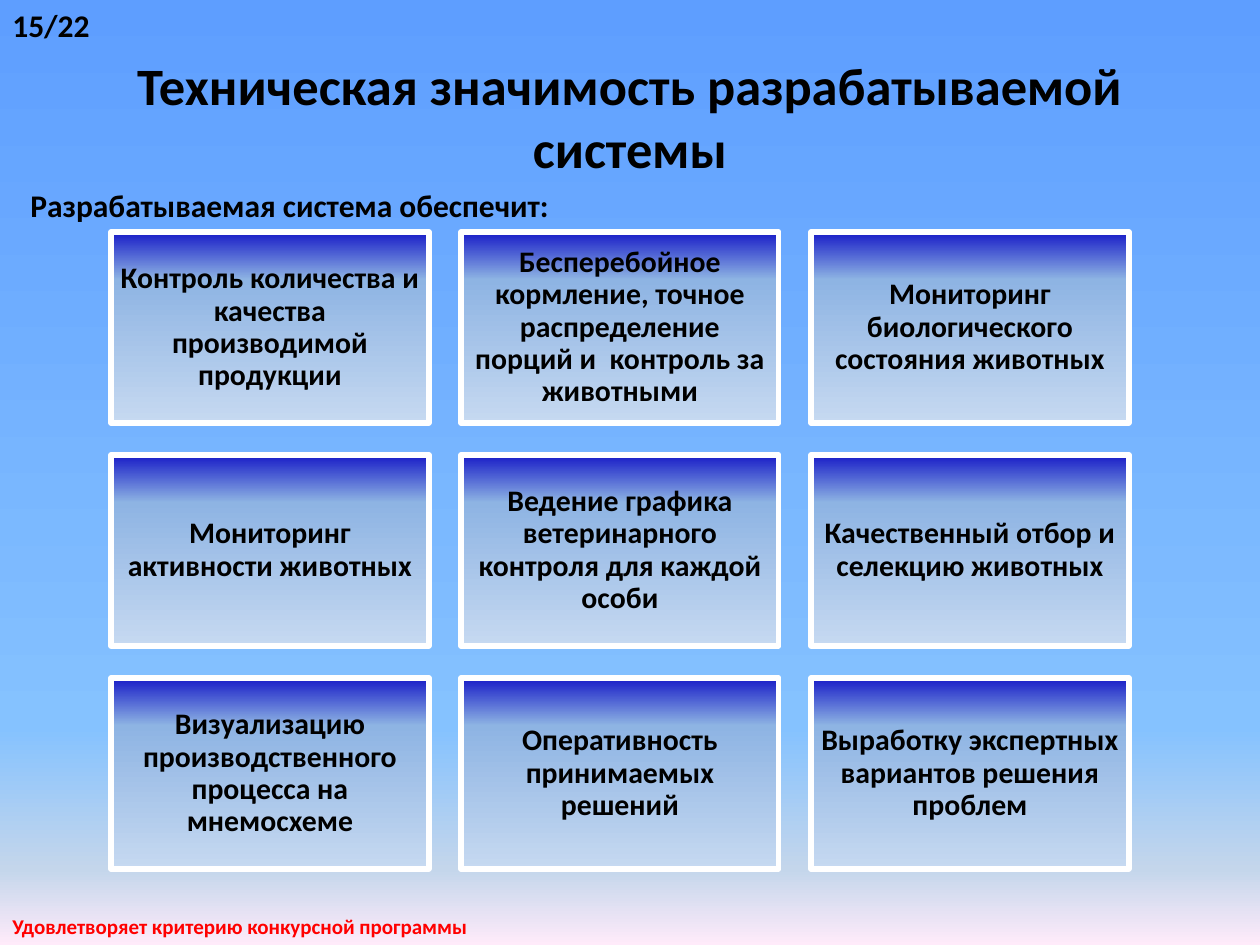
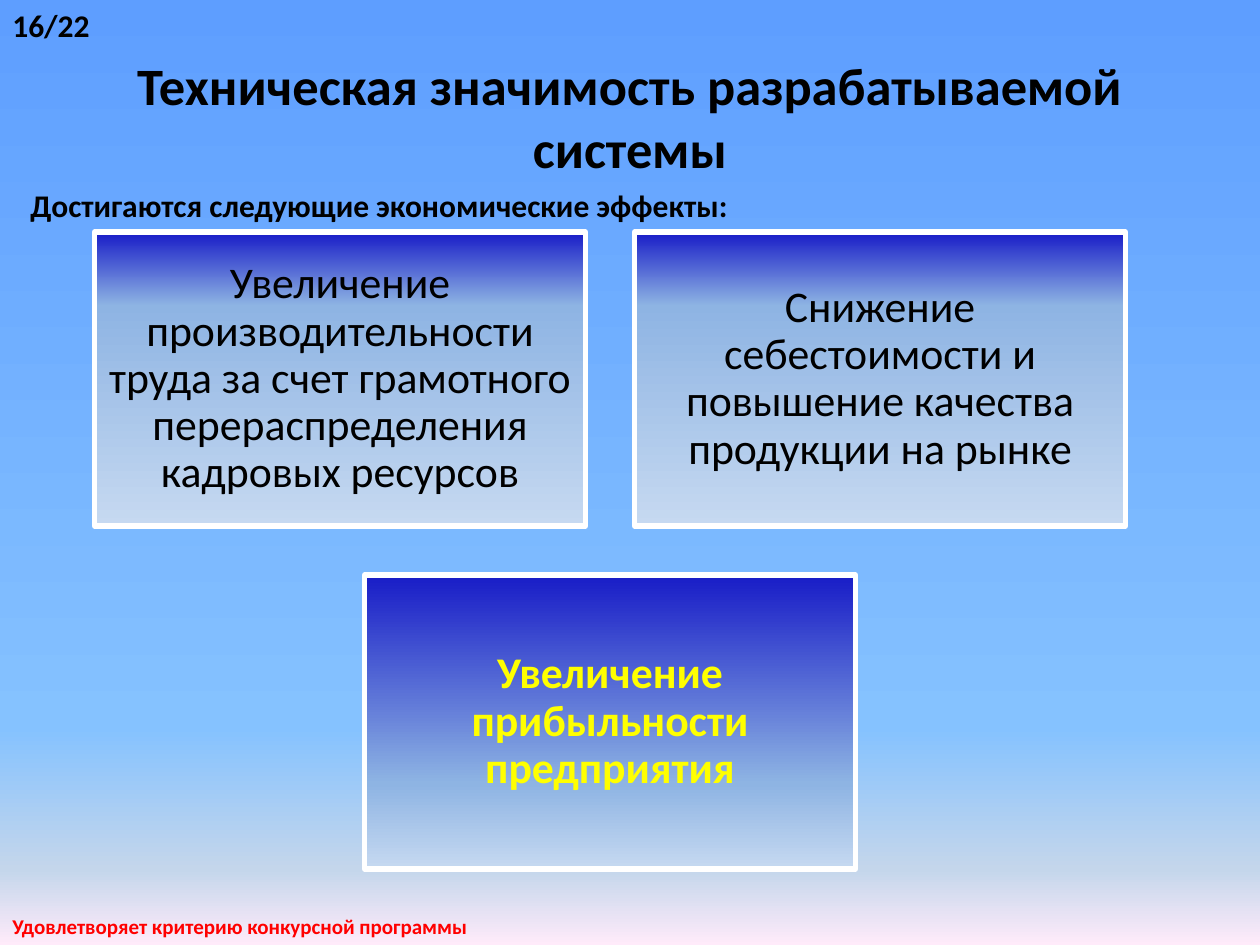
from lxml import etree
from pptx import Presentation, util as u
from pptx.dml.color import RGBColor
from pptx.enum import shapes, text
from pptx.oxml.ns import qn

BLACK = RGBColor(0x00, 0x00, 0x00)
WHITE = RGBColor(0xFF, 0xFF, 0xFF)
RED = RGBColor(0xFF, 0x00, 0x00)
YELLOW = RGBColor(0xFF, 0xFF, 0x00)
DEEP_BLUE = RGBColor(0x18, 0x1C, 0xC7)
MID_BLUE = RGBColor(0x8E, 0xB4, 0xE3)
PALE_BLUE = RGBColor(0xC6, 0xD9, 0xF1)
SKY_TOP = RGBColor(0x5E, 0x9E, 0xFF)
SKY_MID = RGBColor(0x85, 0xC2, 0xFF)
SKY_LOW = RGBColor(0xC4, 0xD6, 0xEB)
SKY_BOTTOM = RGBColor(0xFF, 0xEB, 0xFA)

SKY = [(0, SKY_TOP), (77, SKY_MID), (92, SKY_LOW), (100, SKY_BOTTOM)]
PLAIN_FADE = [(0, PALE_BLUE), (75, MID_BLUE), (100, DEEP_BLUE)]
STRONG_FADE = [(0, PALE_BLUE), (29, MID_BLUE), (100, DEEP_BLUE)]

FONT = "Calibri"
TITLE = "Техническая значимость разрабатываемой системы"
FOOTER = "Удовлетворяет критерию конкурсной программы"
SLIDE_TOTAL = 22

EFFECT = {"size": 25, "bold": False, "color": BLACK, "fade": PLAIN_FADE}
RESULT = {"size": 25, "bold": True, "color": YELLOW, "fade": STRONG_FADE}
BENEFIT = {"size": 17, "bold": True, "color": BLACK, "fade": PLAIN_FADE}

SLIDES = [
    {
        "number": 15,
        "lead": "Разрабатываемая система обеспечит:",
        "lead_width": 751,
        "grid": {"center": 620, "width": 318, "height": 191, "gap": 32, "inset": 8},
        "rows": [
            (BENEFIT, [
                "Контроль количества и качества производимой продукции",
                "Бесперебойное кормление, точное распределение порций и  контроль за животными",
                "Мониторинг биологического состояния животных",
            ]),
            (BENEFIT, [
                "Мониторинг активности животных",
                "Ведение графика ветеринарного контроля для каждой особи",
                "Качественный отбор и селекцию животных",
            ]),
            (BENEFIT, [
                "Визуализацию производственного процесса на мнемосхеме",
                "Оперативность принимаемых решений",
                "Выработку экспертных вариантов решения проблем",
            ]),
        ],
    },
    {
        "number": 16,
        "lead": "Достигаются следующие экономические эффекты:",
        "lead_width": 1157,
        "grid": {"center": 610, "width": 491, "height": 294, "gap": 49, "inset": 12},
        "rows": [
            (EFFECT, [
                "Увеличение производительности труда за счет грамотного "
                "перераспределения кадровых ресурсов",
                "Снижение себестоимости и повышение качества продукции на рынке",
            ]),
            (RESULT, ["Увеличение прибыльности предприятия"]),
        ],
    },
]

SLIDE_WIDTH, SLIDE_HEIGHT = 1260, 945
GRID_TOP = 232
LEAD_INDENT = 19


def px(count):
    return u.Emu(round(count * 914400 / 126))


def set_all(target, values):
    for name, value in values.items():
        setattr(target, name, value)


def place(*lengths):
    return [px(length) for length in lengths]


def fade(fill, owner, stops, angle):
    """Fill with any number of stops; the angle runs counter-clockwise."""
    fill.gradient()
    fill.gradient_angle = angle
    stop_list = owner.find(".//" + qn("a:gsLst"))
    for old_stop in list(stop_list):
        stop_list.remove(old_stop)
    for percent, color in stops:
        stop = etree.SubElement(stop_list, qn("a:gs"), pos=str(percent * 1000))
        etree.SubElement(stop, qn("a:srgbClr"), val=str(color))


def write(frame, words, size, color=BLACK, bold=True, align=text.PP_ALIGN.LEFT):
    para = frame.paragraphs[0]
    para.alignment = align
    span = para.add_run()
    span.text = words
    set_all(span.font, {"name": FONT, "size": u.Pt(size), "bold": bold})
    span.font.color.rgb = color
    return para


def add_label(page, area, words, size, wrap=False, **look):
    frame = page.shapes.add_textbox(*place(*area)).text_frame
    set_all(frame, {"word_wrap": wrap,
                    "auto_size": text.MSO_AUTO_SIZE.SHAPE_TO_FIT_TEXT})
    return write(frame, words, size, **look)


def add_box(page, area, words, inset, look):
    box = page.shapes.add_shape(shapes.MSO_SHAPE.RECTANGLE, *place(*area))
    box.shadow.inherit = False
    fade(box.fill, box._element.spPr, look["fade"], 90)
    box.line.color.rgb = WHITE
    box.line.width = u.Pt(3)
    frame = box.text_frame
    set_all(frame, {"word_wrap": True, "vertical_anchor": text.MSO_ANCHOR.MIDDLE})
    set_all(frame, {"margin_" + side: px(inset)
                    for side in ("left", "top", "right", "bottom")})
    para = write(frame, words, look["size"], look["color"], look["bold"],
                 text.PP_ALIGN.CENTER)
    para.line_spacing = 0.9


def add_grid(page, rows, center, width, height, gap, inset):
    """Stack the rows from GRID_TOP down, each one centred."""
    for row, (look, captions) in enumerate(rows):
        left = center - (len(captions) * (width + gap) - gap) / 2
        top = GRID_TOP + row * (height + gap)
        for column, words in enumerate(captions):
            area = (left + column * (width + gap), top, width, height)
            add_box(page, area, words, inset, look)


def add_page(deck, content):
    page = deck.slides.add_slide(deck.slide_layouts.get_by_name("Title Only"))
    title = page.shapes.title
    set_all(title, dict(zip(("left", "top", "width", "height"),
                            place(63, 38, 1134, 157))))
    title.text_frame.vertical_anchor = text.MSO_ANCHOR.MIDDLE
    write(title.text_frame, TITLE, 30, align=text.PP_ALIGN.CENTER)

    add_label(page, (0, 0, 103, 51), f"{content['number']}/{SLIDE_TOTAL}", 18)
    add_label(page, (0, 907, 485, 38), FOOTER, 12, color=RED)
    add_grid(page, content["rows"], **content["grid"])
    lead = add_label(page, (-1, 180, content["lead_width"], 51), content["lead"], 18,
                     wrap=True, align=text.PP_ALIGN.JUSTIFY)
    lead._p.get_or_add_pPr().set("marL", str(px(LEAD_INDENT)))


def main():
    deck = Presentation()
    set_all(deck, {"slide_width": px(SLIDE_WIDTH), "slide_height": px(SLIDE_HEIGHT)})
    master = deck.slide_master
    fade(master.background.fill, master._element, SKY, 270)
    for content in SLIDES:
        add_page(deck, content)
    deck.save("out.pptx")


if __name__ == "__main__":
    main()
